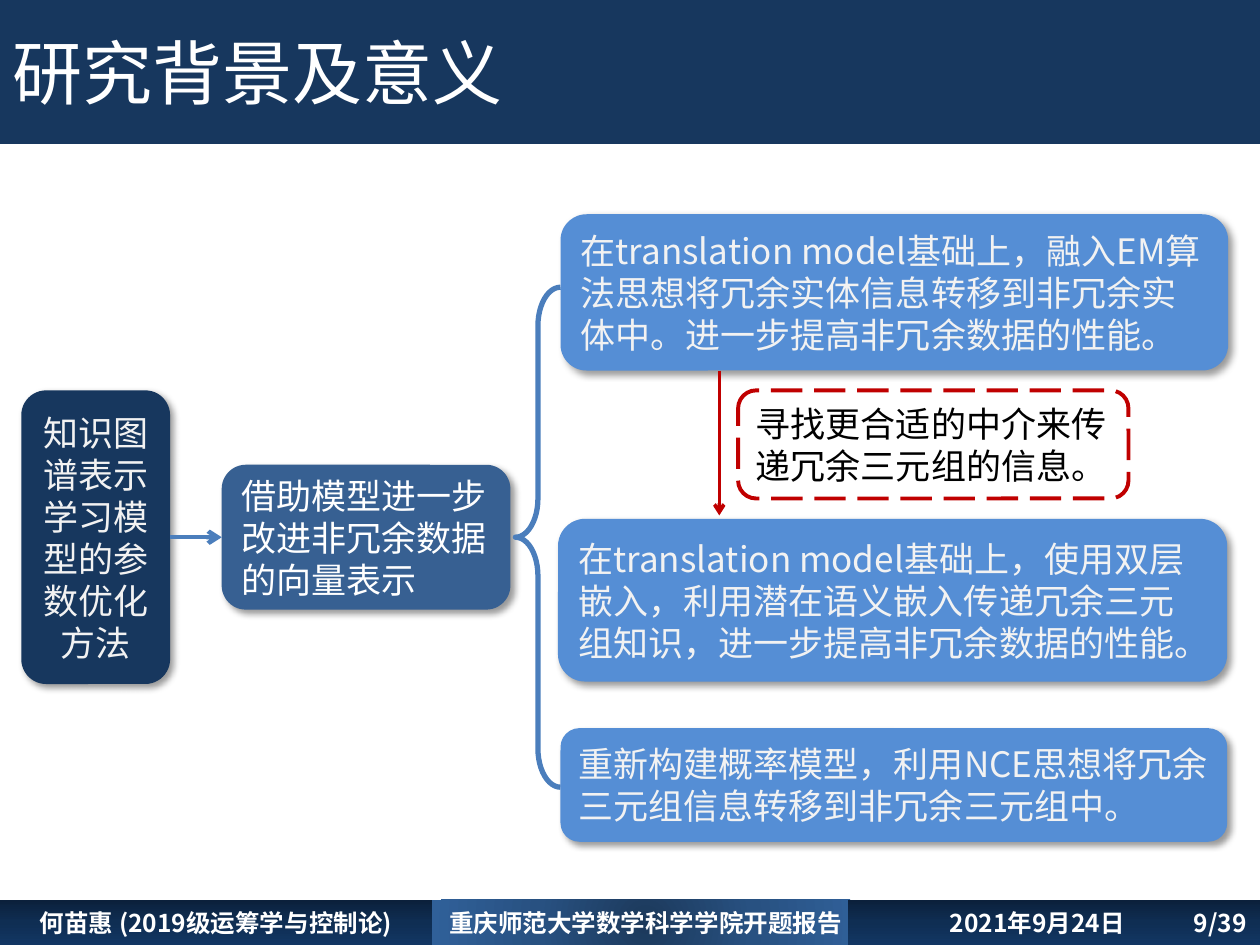
from dataclasses import dataclass
from typing import NamedTuple

from pptx import Presentation
from pptx.dml.color import RGBColor
from pptx.enum.dml import MSO_LINE
from pptx.enum.shapes import MSO_CONNECTOR, MSO_SHAPE
from pptx.enum.text import MSO_ANCHOR, MSO_AUTO_SIZE, PP_ALIGN
from pptx.oxml import parse_xml
from pptx.oxml.ns import nsdecls, qn
from pptx.util import Cm, Pt

RECT, ROUNDED, BRACE = MSO_SHAPE.RECTANGLE, MSO_SHAPE.ROUNDED_RECTANGLE, MSO_SHAPE.LEFT_BRACE
STRAIGHT = MSO_CONNECTOR.STRAIGHT
LEFT, CENTER = PP_ALIGN.LEFT, PP_ALIGN.CENTER
MIDDLE = MSO_ANCHOR.MIDDLE
LONG_DASH = MSO_LINE.LONG_DASH
LEFT_SIDE, RIGHT_SIDE = 1, 3


@dataclass(frozen=True)
class Theme:
    font: str = "Noto Sans CJK SC"
    title_size: int = 40
    body_size: int = 20
    body_leading: int = 24
    footer_size: int = 14
    navy: str = "17375E"
    steel: str = "376092"
    sky: str = "558ED5"
    line: str = "4B7EBC"
    red: str = "C00000"
    white: str = "FFFFFF"
    pale: str = "F2F2F2"
    black: str = "000000"
    footer_dark: tuple = ("0B203B", "0F2E53", "123663")
    footer_light: tuple = ("1C395B", "285181", "306099")


T = Theme()


class Box(NamedTuple):
    """A rectangle in centimetres."""
    x: float
    y: float
    w: float
    h: float

    def inner(self, x, y, w, h):
        """A box whose corner is measured from this box's corner."""
        return Box(self.x + x, self.y + y, w, h)

    def emu(self):
        return [Cm(v) for v in self]


def rgb(color):
    return RGBColor.from_string(color)


def add_run(p, text, size, color, bold=False):
    r = p.add_run()
    r.text = text
    r.font.size, r.font.bold, r.font.name = Pt(size), bold, T.font
    r.font.color.rgb = rgb(color)
    latin = r.font._element.find(qn("a:latin"))
    latin.addnext(parse_xml(f'<a:ea {nsdecls("a")} typeface="{T.font}"/>'))


def add_block(s, kind, box):
    """A shape with no fill, line or shadow, ready for wrapped text."""
    sp = s.shapes.add_shape(kind, *box.emu())
    sp.shadow.inherit = False
    sp.fill.background()
    sp.line.fill.background()
    tf = sp.text_frame
    tf.word_wrap, tf.vertical_anchor = True, MIDDLE
    return sp


def style_line(line, color, width):
    line.color.rgb, line.width = rgb(color), Pt(width)


def drop_shadow(sp):
    effects = sp._element.spPr.find(qn("a:effectLst"))
    effects.append(parse_xml(
        f'<a:outerShdw {nsdecls("a")} blurRad="{Pt(4)}" dist="{Pt(3)}" dir="2700000" '
        'algn="tl" rotWithShape="0"><a:srgbClr val="000000"><a:alpha val="40000"/>'
        '</a:srgbClr></a:outerShdw>'))


def fill_gradient(sp, colors, radial=False):
    stops = "".join(f'<a:gs pos="{i * 50000}"><a:srgbClr val="{c}"/></a:gs>'
                    for i, c in enumerate(colors))
    shade = ('<a:path path="circle"><a:fillToRect l="50000" t="50000" r="50000" b="50000"/></a:path>'
             if radial else '<a:lin ang="5400000" scaled="0"/>')
    sp.fill.gradient()
    spPr = sp._element.spPr
    spPr.replace(spPr.find(qn("a:gradFill")), parse_xml(
        f'<a:gradFill {nsdecls("a")} rotWithShape="1"><a:gsLst>{stops}</a:gsLst>{shade}</a:gradFill>'))


def add_arrow(s, x1, y1, x2, y2, color, width):
    cx = s.shapes.add_connector(STRAIGHT, Cm(x1), Cm(y1), Cm(x2), Cm(y2))
    style_line(cx.line, color, width)
    cx.line._get_or_add_ln().append(parse_xml(f'<a:tailEnd {nsdecls("a")} type="arrow"/>'))
    cx._element.spPr.append(parse_xml(f'<a:effectLst {nsdecls("a")}/>'))
    return cx


def add_node(s, box, text, color, fill=None, align=LEFT):
    """A rounded box of body text; a filled one casts a shadow."""
    sp = add_block(s, ROUNDED, box)
    if fill:
        sp.fill.solid()
        sp.fill.fore_color.rgb = rgb(fill)
        drop_shadow(sp)
    p = sp.text_frame.paragraphs[0]
    p.alignment, p.line_spacing = align, Pt(T.body_leading)
    add_run(p, text, T.body_size, color)
    return sp


def title_bar(s, box, text):
    sp = s.shapes.title
    sp.left, sp.top, sp.width, sp.height = box.emu()
    sp.fill.solid()
    sp.fill.fore_color.rgb = rgb(T.navy)
    tf = sp.text_frame
    tf.auto_size, tf.vertical_anchor = MSO_AUTO_SIZE.NONE, MIDDLE
    p = tf.paragraphs[0]
    p.alignment = LEFT
    add_run(p, text, T.title_size, T.white)


def footer(s, box):
    segments = [
        (0, 8.71, T.footer_dark, "何苗惠 (2019级运筹学与控制论)"),
        (8.71, 8.61, T.footer_light, "重庆师范大学数学科学学院开题报告"),
        (17.09, 8.31, T.footer_dark, "2021年9月24日\t9/39"),
    ]
    for x, w, colors, text in segments:
        sp = add_block(s, RECT, box.inner(x, 0, w, box.h))
        fill_gradient(sp, colors, radial=colors == T.footer_light)
        p = sp.text_frame.paragraphs[0]
        p.alignment = CENTER
        if "\t" in text:
            p.alignment = LEFT
            sp.text_frame.margin_left, sp.text_frame.margin_right = Cm(2.06), 0
            p._p.get_or_add_pPr().append(parse_xml(
                f'<a:tabLst {nsdecls("a")}><a:tab pos="{Cm(4.92)}" algn="l"/></a:tabLst>'))
        add_run(p, text, T.footer_size, T.white, bold=True)


def goal_chain(s, box):
    """The overall goal leading to the approach, both centred on the box's height."""
    mid = box.h / 2
    goal = add_node(s, box.inner(0, 0, 3, box.h), "知识图谱表示学习模型的参数优化方法",
                    T.pale, T.navy, CENTER)
    approach = add_node(s, box.inner(4.04, mid - 1.46, 5.82, 2.92),
                        "借助模型进一步改进非冗余数据的向量表示", T.white, T.steel)
    y = box.y + mid
    cx = add_arrow(s, box.x + 3, y, box.x + 4.04, y, T.line, 2.5)
    cx.begin_connect(goal, RIGHT_SIDE)
    cx.end_connect(approach, LEFT_SIDE)


def branches(s, box):
    """The brace, the three lines of work, and the step from the first to the second."""
    brace = add_block(s, BRACE, box.inner(0, 1.47, 0.91, 10.08))
    brace.adjustments[0] = 0.855
    style_line(brace.line, T.line, 3)

    works = [
        (0.91, 0, 13.46, 3.15, "在translation model基础上，融入EM算法思想将冗余实体信息转移到非冗余实体中。进一步提高非冗余数据的性能。"),
        (0.86, 6.14, 13.49, 3.28, "在translation model基础上，使用双层嵌入，利用潜在语义嵌入传递冗余三元组知识，进一步提高非冗余数据的性能。"),
        (0.91, 10.36, 13.44, 2.29, "重新构建概率模型，利用NCE思想将冗余三元组信息转移到非冗余三元组中。"),
    ]
    for x, y, w, h, text in works:
        add_node(s, box.inner(x, y, w, h), text, T.pale, T.sky)

    x = box.x + 4.11
    add_arrow(s, x, box.y + 3.15, x, box.y + 6.07, T.red, 2)
    note = add_node(s, box.inner(4.49, 3.55, 7.87, 2.18),
                    "寻找更合适的中介来传递冗余三元组的信息。", T.black)
    style_line(note.line, T.red, 2.25)
    note.line.dash_style = LONG_DASH


def main():
    prs = Presentation()
    prs.slide_width, prs.slide_height = Cm(25.4), Cm(19.05)
    s = prs.slides.add_slide(prs.slide_layouts[5])
    title_bar(s, Box(0, 0, 25.4, 2.9), "研究背景及意义")
    footer(s, Box(0, 18.14, 25.4, 0.91))
    goal_chain(s, Box(0.43, 7.87, 9.86, 5.92))
    branches(s, Box(10.39, 4.32, 14.37, 12.65))
    prs.save("out.pptx")


if __name__ == "__main__":
    main()
